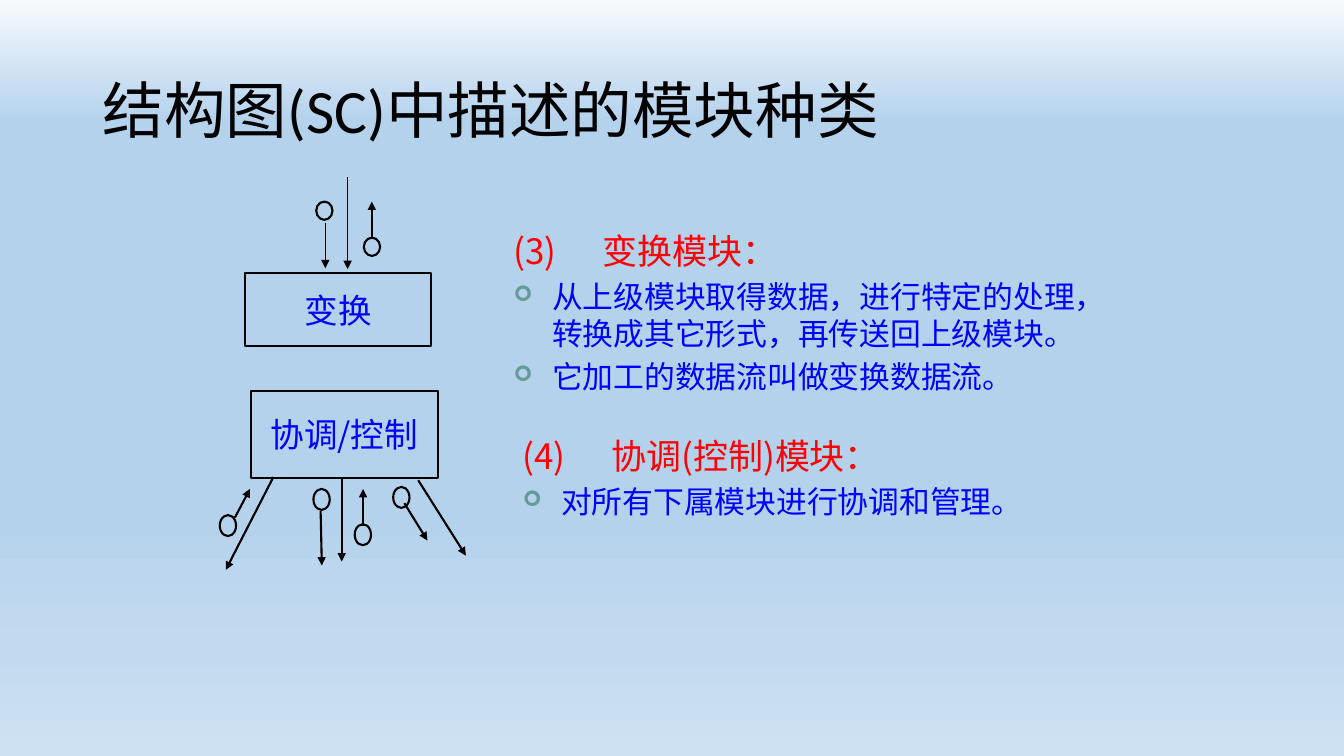
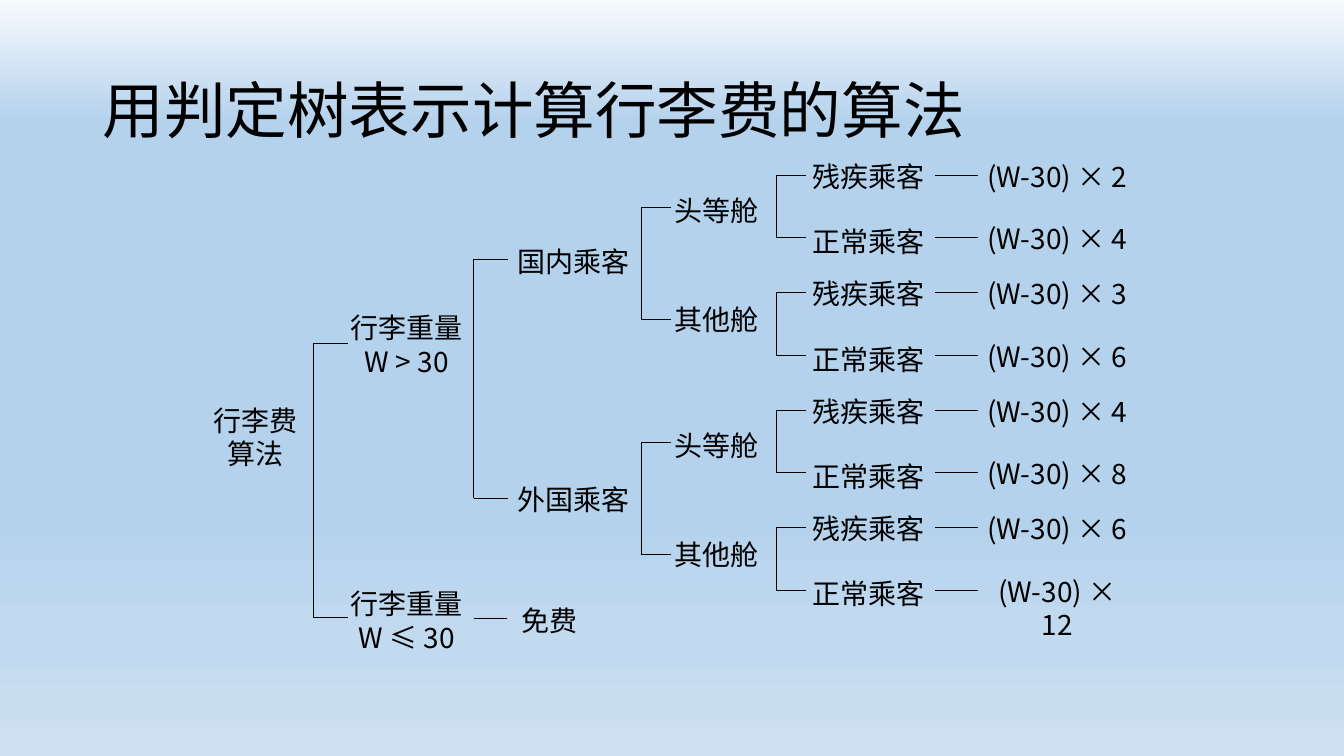
from lxml.etree import SubElement
from pptx import Presentation
from pptx.dml.color import RGBColor
from pptx.enum.shapes import MSO_CONNECTOR, MSO_SHAPE
from pptx.enum.text import MSO_ANCHOR, MSO_AUTO_SIZE, PP_ALIGN
from pptx.oxml.ns import qn
from pptx.util import Cm, Pt

BLACK = RGBColor(0, 0, 0)
BLUE = RGBColor(0, 0, 0xFF)
RED = RGBColor(0xFF, 0, 0)
BULLET_GREEN = RGBColor(0x66, 0x99, 0x99)
BACKGROUND_STOPS = [
    (0, RGBColor(0xF7, 0xFA, 0xFD)),
    (16, RGBColor(0xB5, 0xD2, 0xEC)),
    (71, RGBColor(0xB8, 0xD4, 0xED)),
    (86, RGBColor(0xC2, 0xDA, 0xEF)),
    (100, RGBColor(0xCE, 0xE1, 0xF2)),
]
TITLE_FONT = "Calibri"
BODY_FONT = "Noto Sans CJK SC"
TWO_CONTENT, TITLE_ONLY = 3, 5

COUPLE_WIDTH = 0.41
NODE_WIDTH, LINE_HEIGHT = 2.97, 0.91
FARE_WIDTH = 4.01


def style_runs(paragraph, size, color, font=BODY_FONT):
    for run in paragraph.runs:
        run.font.size = Pt(size)
        run.font.color.rgb = color
        run.font.name = font
        SubElement(run.font._element, qn("a:ea"), typeface=BODY_FONT)


def place(shape, left, top, width, height):
    shape.left, shape.top = Cm(left), Cm(top)
    shape.width, shape.height = Cm(width), Cm(height)


def paint_background(master):
    fill = master.background.fill
    fill.gradient()
    fill.gradient_angle = 270
    stops = master.element.xpath(".//p:bg//a:gsLst")[0]
    for stop in list(stops):
        stops.remove(stop)
    for position, color in BACKGROUND_STOPS:
        stop = SubElement(stops, qn("a:gs"), pos=str(position * 1000))
        SubElement(stop, qn("a:srgbClr"), val=str(color))


def add_titled_slide(presentation, layout, text):
    slide = presentation.slides.add_slide(presentation.slide_layouts[layout])
    for placeholder in list(slide.placeholders):
        if placeholder.placeholder_format.idx >= 10:
            placeholder.element.getparent().remove(placeholder.element)
    title = slide.shapes.title
    place(title, 2.33, 1.01, 29.21, 3.68)
    frame = title.text_frame
    frame.text = text
    frame.auto_size = MSO_AUTO_SIZE.NONE
    frame.vertical_anchor = MSO_ANCHOR.MIDDLE
    paragraph = frame.paragraphs[0]
    paragraph.alignment = PP_ALIGN.LEFT
    paragraph.line_spacing = 0.9
    style_runs(paragraph, 44, BLACK, TITLE_FONT)
    return slide


def add_line(shapes, start, end, weight, arrow=False):
    points = [Cm(value) for value in (*start, *end)]
    connector = shapes.add_connector(MSO_CONNECTOR.STRAIGHT, *points)
    connector.line.color.rgb = BLACK
    connector.line.width = Pt(weight)
    if arrow:
        SubElement(connector.get_or_add_ln(), qn("a:tailEnd"), type="triangle")
    SubElement(connector.element.spPr, qn("a:effectLst"))


def add_outline(shapes, kind, left, top, width, height):
    shape = shapes.add_shape(kind, Cm(left), Cm(top), Cm(width), Cm(height))
    shape.shadow.inherit = False
    shape.fill.background()
    shape.line.color.rgb = BLACK
    shape.line.width = Pt(1.5)
    return shape


def add_module(shapes, left, top, width, height, name):
    module = add_outline(shapes, MSO_SHAPE.RECTANGLE, left, top, width, height)
    frame = module.text_frame
    frame.text = name
    frame.word_wrap = False
    frame.vertical_anchor = MSO_ANCHOR.MIDDLE
    frame.paragraphs[0].alignment = PP_ALIGN.CENTER
    style_runs(frame.paragraphs[0], 24, BLUE)


def add_diagram(slide, left, top, module, calls, couples, circle_height, weights):
    shapes = slide.shapes.add_group_shape().shapes
    module_left, module_top, width, height, name = module
    add_module(shapes, left + module_left, top + module_top, width, height, name)
    call_weight, couple_weight = weights
    for x1, y1, x2, y2 in calls:
        add_line(shapes, (left + x1, top + y1), (left + x2, top + y2), call_weight, True)
    for circle_x, circle_y, x1, y1, x2, y2 in couples:
        add_outline(shapes, MSO_SHAPE.OVAL, left + circle_x, top + circle_y,
                    COUPLE_WIDTH, circle_height)
        add_line(shapes, (left + x1, top + y1), (left + x2, top + y2), couple_weight, True)


def add_transform_diagram(slide, left, top):
    add_diagram(
        slide, left, top, (0, 2.41, 4.7, 1.85, "变换"),
        [(2.59, 0, 2.59, 2.31)],
        [(1.8, 0.61, 2.03, 1.14, 2.03, 2.29), (3, 1.52, 3.2, 1.52, 3.2, 0.61)],
        0.46, (1, 1))


def add_control_diagram(slide, left, top):
    add_diagram(
        slide, left, top, (0.79, 0, 4.7, 2.18, "协调/控制"),
        [(1.35, 2.16, 0.15, 4.5), (3.07, 2.16, 3.07, 4.29), (5, 2.24, 6.2, 4.14)],
        [(0, 3.12, 0.38, 3.18, 0.76, 2.46), (2.36, 2.46, 2.54, 3.02, 2.57, 4.39),
         (3.4, 3.35, 3.61, 3.4, 3.61, 2.46), (4.37, 2.41, 4.65, 2.82, 5.23, 3.76)],
        0.53, (1.5, 1.5))


def set_list_marker(paragraph, is_heading):
    properties = paragraph._p.get_or_add_pPr()
    properties.set("marL", str(Cm(1.93)))
    properties.set("indent", str(-Cm(0.97)))
    if is_heading:
        SubElement(properties, qn("a:buNone"))
        tabs = SubElement(properties, qn("a:tabLst"))
        SubElement(tabs, qn("a:tab"), pos=str(Cm(2.64)), algn="l")
    else:
        color = SubElement(properties, qn("a:buClr"))
        SubElement(color, qn("a:srgbClr"), val=str(BULLET_GREEN))
        SubElement(properties, qn("a:buSzPct"), val="70000")
        SubElement(properties, qn("a:buFont"), typeface="Wingdings")
        SubElement(properties, qn("a:buChar"), char="➢")


def fill_module_list(body, box, lines):
    place(body, *box)
    frame = body.text_frame
    frame.text = "\n".join(lines)
    frame.auto_size = MSO_AUTO_SIZE.NONE
    for index, paragraph in enumerate(frame.paragraphs):
        is_heading = index == 0
        paragraph.level = 1
        set_list_marker(paragraph, is_heading)
        paragraph.space_before = Pt(0 if is_heading else 4.4)
        size, color = (25, RED) if is_heading else (22, BLUE)
        style_runs(paragraph, size, color)


def add_label(shapes, text, left, top, width, lines=1):
    box = shapes.add_textbox(Cm(left), Cm(top), Cm(width), Cm(LINE_HEIGHT * lines))
    frame = box.text_frame
    frame.text = text
    frame.word_wrap = True
    frame.margin_left = frame.margin_right = Cm(0.05)
    frame.margin_top = frame.margin_bottom = Cm(0.03)
    frame.paragraphs[0].alignment = PP_ALIGN.CENTER
    style_runs(frame.paragraphs[0], 20, BLACK)


def add_fork(shapes, spine, tip, top, gap, names, label_left, rises, lines=1):
    add_line(shapes, (spine, top), (spine, top + gap), 0.75)
    for y, name, rise in zip((top, top + gap), names, rises):
        add_line(shapes, (spine, y), (tip, y), 0.75)
        add_label(shapes, name, label_left, y - rise, NODE_WIDTH, lines)


def add_decision_tree(slide, left, top):
    shapes = slide.shapes.add_group_shape().shapes
    add_label(shapes, "行李费算法", left, top + 6.14, 2.54, 2)
    add_fork(shapes, left + 2.74, left + 3.61, top + 4.67, 6.91,
             ("行李重量W > 30", "行李重量W ≤ 30"), left + 3.61, (0.86, 0.81), 2)
    add_line(shapes, (left + 6.78, top + 11.6), (left + 7.62, top + 11.6), 0.75)
    add_label(shapes, "免费", left + 7.42, top + 11.18, 2.54)
    add_fork(shapes, left + 6.78, left + 7.65, top + 2.54, 6.02,
             ("国内乘客", "外国乘客"), left + 7.82, (0.41, 0.41))
    for origin in range(2):
        add_fork(shapes, left + 11, left + 11.76, top + 1.24 + 5.92 * origin, 2.82,
                 ("头等舱", "其他舱"), left + 11.42, (0.38, 0.46))
    for row, rates in enumerate([(2, 4), (3, 6), (4, 8), (6, 12)]):
        fork_top, gap = top + 0.43 + 2.96 * row, 1.57
        add_fork(shapes, left + 14.4, left + 15.16, fork_top, gap,
                 ("残疾乘客", "正常乘客"), left + 15.24, (0.43, 0.36))
        for y, rate in zip((fork_top, fork_top + gap), rates):
            add_line(shapes, (left + 18.41, y), (left + 19.48, y), 0.75)
            add_label(shapes, f"(W-30) × {rate}", left + 19.48, y - 0.43, FARE_WIDTH)


def build_modules_slide(presentation):
    slide = add_titled_slide(presentation, TWO_CONTENT, "结构图(SC)中描述的模块种类")
    add_transform_diagram(slide, 6.17, 4.47)
    add_control_diagram(slide, 5.54, 9.86)
    fill_module_list(slide.placeholders[1], (11.73, 5.66, 16.18, 4.52), [
        "(3)\t变换模块：",
        "从上级模块取得数据，进行特定的处理，转换成其它形式，再传送回上级模块。",
        "它加工的数据流叫做变换数据流。",
    ])
    fill_module_list(slide.placeholders[2], (11.96, 10.82, 16.71, 4.39), [
        "(4)\t协调(控制)模块：",
        "对所有下属模块进行协调和管理。",
    ])


def build_tree_slide(presentation):
    slide = add_titled_slide(presentation, TITLE_ONLY, "用判定树表示计算行李费的算法")
    add_decision_tree(slide, 5.16, 3.99)


def main():
    presentation = Presentation()
    presentation.slide_width, presentation.slide_height = Cm(33.87), Cm(19.05)
    paint_background(presentation.slide_master)
    build_modules_slide(presentation)
    build_tree_slide(presentation)
    presentation.save("out.pptx")


if __name__ == "__main__":
    main()
